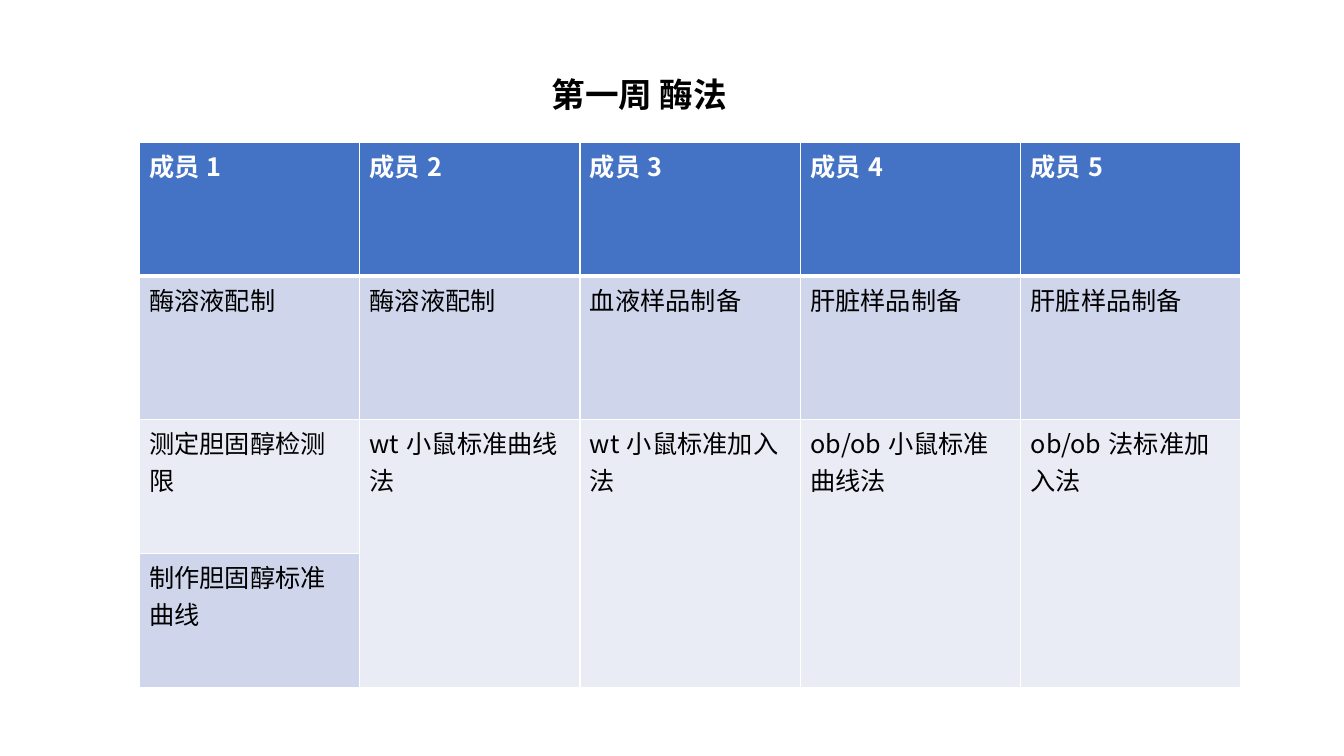
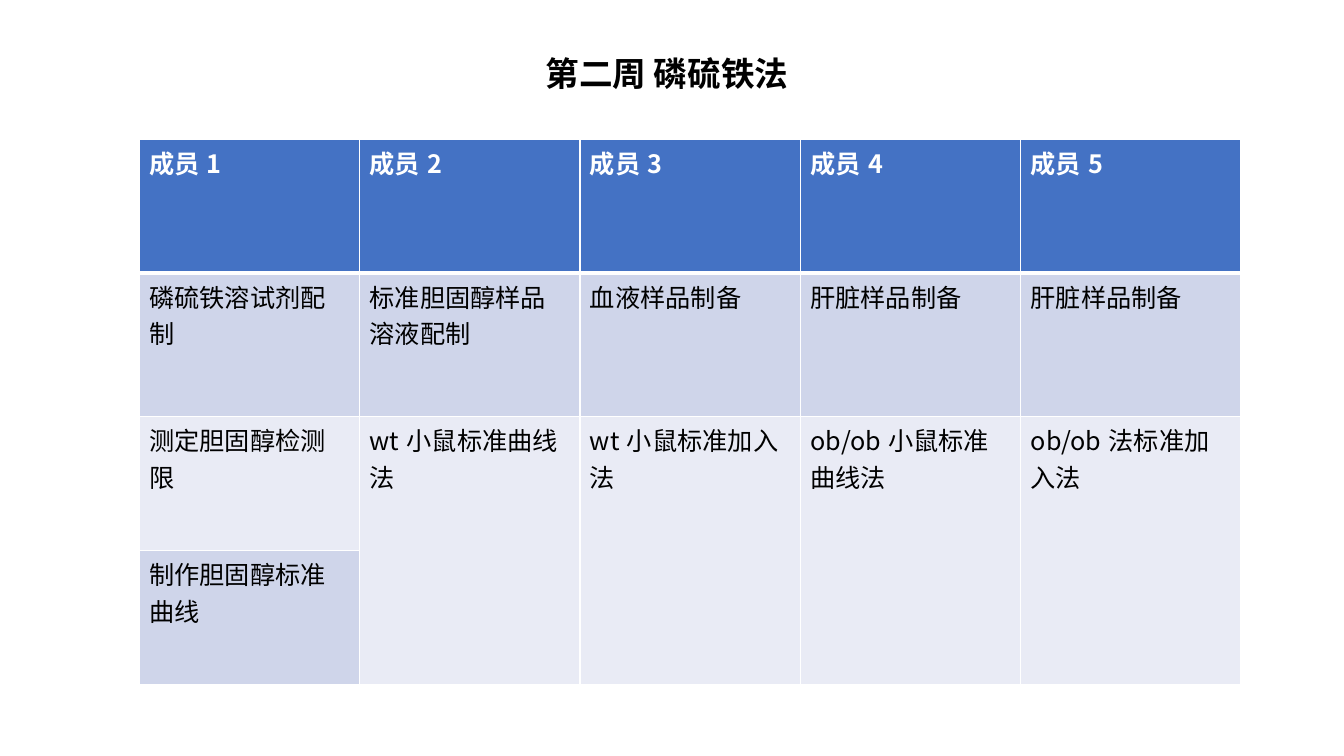
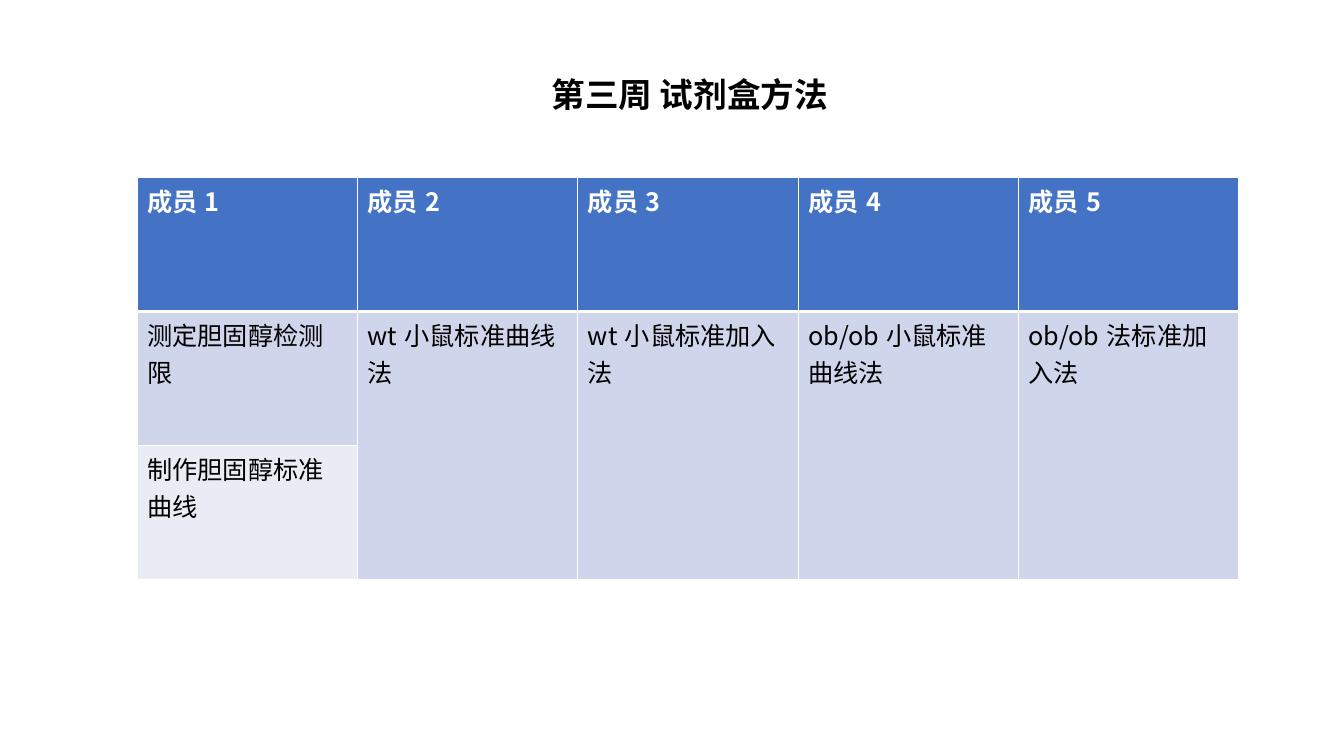
from dataclasses import dataclass
from typing import Optional

from lxml import etree
from pptx import Presentation
from pptx.dml.color import RGBColor
from pptx.enum.text import MSO_ANCHOR, MSO_AUTO_SIZE, PP_ALIGN
from pptx.oxml.ns import qn
from pptx.util import Inches, Pt

TOP, LEFT = MSO_ANCHOR.TOP, PP_ALIGN.LEFT
FIT_SHAPE = MSO_AUTO_SIZE.SHAPE_TO_FIT_TEXT
TITLE_ONLY = 5

# Shared style
FONT = "Noto Sans CJK SC"
BLACK, WHITE, BLUE = "000000", "FFFFFF", "4472C4"
BANDS = ("CFD5EA", "E9EBF5")
THIN, THICK = 1, 3
TITLE_SIZE, CELL_SIZE = 24, 18

# Table grid, in inches
MEMBERS = 5
TABLE_WIDTH, TITLE_HEIGHT = 10.93, 0.5
ROW_HEIGHT, PREPARATION_HEIGHT = 1.33, 1.42

Row = tuple[Optional[str], ...]  # None continues the cell above

HEADER: Row = tuple(f"成员{number}" for number in range(1, MEMBERS + 1))
SAMPLES: Row = ("血液样品制备", "肝脏样品制备", "肝脏样品制备")
MEASUREMENTS: tuple[Row, ...] = (
    ("测定胆固醇检测限", "wt小鼠标准曲线法", "wt小鼠标准加入法",
     "ob/ob小鼠标准曲线法", "ob/ob法标准加入法"),
    ("制作胆固醇标准曲线", None, None, None, None),
)


@dataclass(frozen=True)
class Week:
    title: str
    title_at: tuple[float, float]
    title_width: float
    table_at: tuple[float, float]
    preparation: Optional[Row] = None


WEEKS = (
    Week("第一周 酶法", (5.37, 0.68), 1.98, (1.38, 1.41),
         ("酶溶液配制", "酶溶液配制", *SAMPLES)),
    Week("第二周 磷硫铁法", (5.31, 0.47), 2.65, (1.38, 1.38),
         ("磷硫铁溶试剂配制", "标准胆固醇样品溶液配制", *SAMPLES)),
    Week("第三周 试剂盒方法", (5.37, 0.68), 3.01, (1.36, 1.76)),
)


def rgb(value: str) -> RGBColor:
    return RGBColor.from_string(value)


def format_text(frame, size: float, color: str, bold: bool) -> None:
    for paragraph in frame.paragraphs:
        paragraph.alignment = LEFT
        for run in paragraph.runs:
            font = run.font
            font.size, font.bold, font.name = Pt(size), bold, FONT
            font.color.rgb = rgb(color)
            east_asian = etree.SubElement(run._r.get_or_add_rPr(), qn("a:ea"))
            east_asian.set("typeface", FONT)


def set_borders(cell, top: float, bottom: float) -> None:
    """Border lines stand before the fill in the cell properties."""
    properties = cell._tc.get_or_add_tcPr()
    widths = {"L": THIN, "R": THIN, "T": top, "B": bottom}
    for index, (side, width) in enumerate(widths.items()):
        line = etree.Element(qn(f"a:ln{side}"), w=str(Pt(width)))
        fill = etree.SubElement(line, qn("a:solidFill"))
        etree.SubElement(fill, qn("a:srgbClr"), val=WHITE)
        properties.insert(index, line)


def draw_title(slide, week: Week) -> None:
    title = slide.shapes.title
    title.left, title.top = (Inches(length) for length in week.title_at)
    title.width, title.height = Inches(week.title_width), Inches(TITLE_HEIGHT)
    frame = title.text_frame
    frame.text = week.title
    frame.word_wrap, frame.auto_size = False, FIT_SHAPE
    frame.vertical_anchor = TOP
    format_text(frame, TITLE_SIZE, BLACK, True)


def draw_schedule(slide, week: Week) -> None:
    preparation = (week.preparation,) if week.preparation else ()
    rows = (HEADER, *preparation, *MEASUREMENTS)
    heights = [PREPARATION_HEIGHT if row is week.preparation else ROW_HEIGHT
               for row in rows]
    left, top = week.table_at
    schedule = slide.shapes.add_table(
        len(rows), MEMBERS, Inches(left), Inches(top),
        Inches(TABLE_WIDTH), Inches(sum(heights))).table

    for r, (tasks, height) in enumerate(zip(rows, heights)):
        schedule.rows[r].height = Inches(height)
        is_header = r == 0
        for c, task in enumerate(tasks):
            cell = schedule.cell(r, c)
            cell.fill.solid()
            cell.fill.fore_color.rgb = rgb(BLUE if is_header else BANDS[(r - 1) % 2])
            set_borders(cell, THICK if r == 1 else THIN,
                        THICK if is_header else THIN)
            if task is None:
                schedule.cell(r - 1, c).merge(cell)
            else:
                cell.text_frame.text = task
                format_text(cell.text_frame, CELL_SIZE,
                            WHITE if is_header else BLACK, is_header)


def main() -> None:
    deck = Presentation()
    deck.slide_width, deck.slide_height = Inches(13.33), Inches(7.5)
    for week in WEEKS:
        slide = deck.slides.add_slide(deck.slide_layouts[TITLE_ONLY])
        draw_schedule(slide, week)
        draw_title(slide, week)
    deck.save("out.pptx")


if __name__ == "__main__":
    main()
